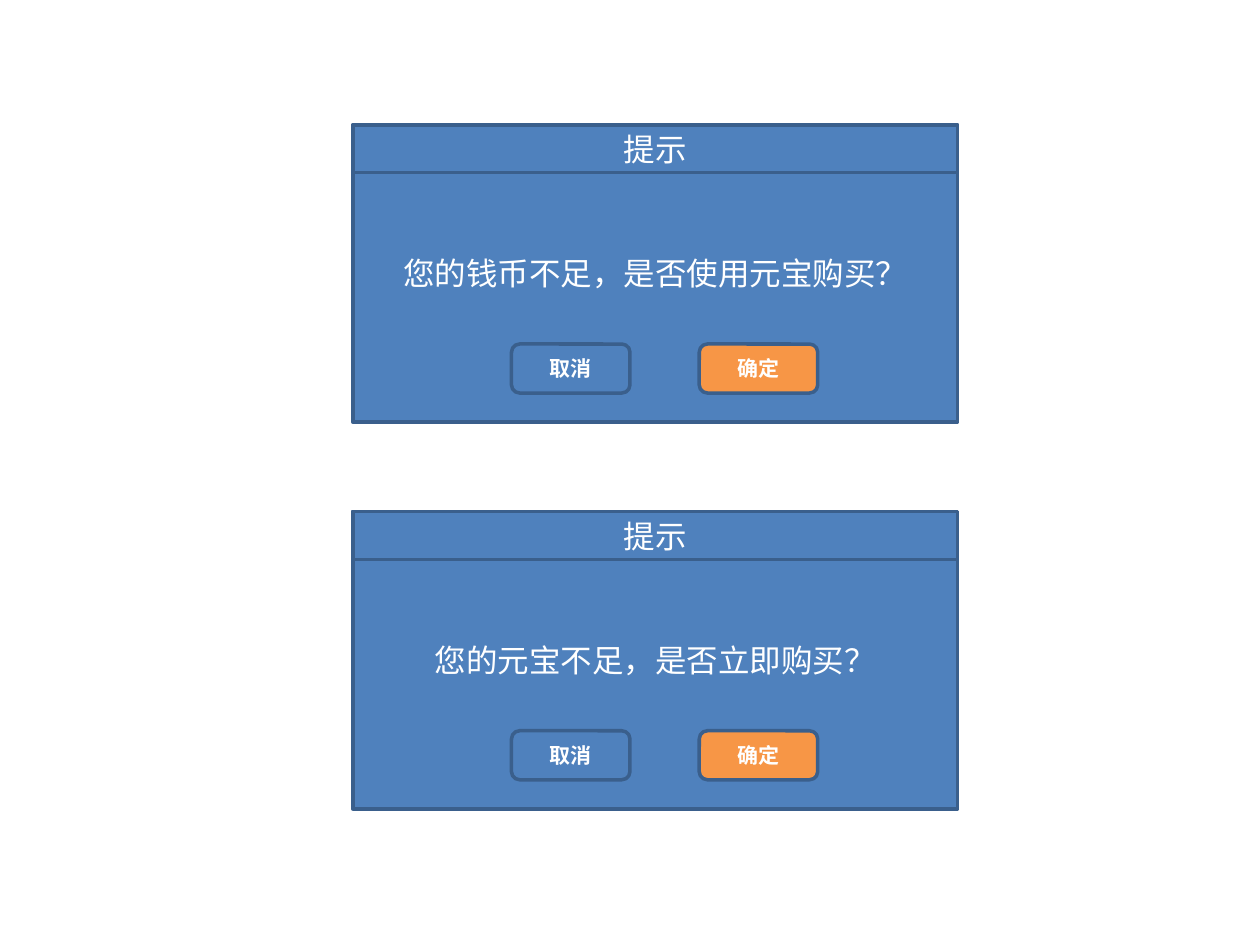
import pptx
import pptx.util
import pptx.dml.color
import pptx.enum.shapes
import pptx.enum.text

Pt = pptx.util.Pt
SHAPES = pptx.enum.shapes.MSO_SHAPE
BLUE, ORANGE, BORDER, WHITE = "4F81BD", "F79646", "3A5F8C", "FFFFFF"


def color(value):
    """Return the RGB colour for a hex string."""
    return pptx.dml.color.RGBColor.from_string(value)


def write(s, text, size=18, bold=False, font="Calibri", fill=WHITE):
    """Write one centred line of text in a shape."""
    tf = s.text_frame
    tf.word_wrap = True
    tf.vertical_anchor = pptx.enum.text.MSO_ANCHOR.MIDDLE
    p = tf.paragraphs[0]
    p.alignment = pptx.enum.text.PP_ALIGN.CENTER
    r = p.add_run()
    r.text = text
    r.font.name = font
    r.font.size = Pt(size)
    r.font.bold = bold
    r.font.color.rgb = color(fill)


def add_box(slide, kind, left, top, width, height, text, fill=BLUE, **style):
    """Add an outlined box with centred text."""
    s = slide.shapes.add_shape(kind, Pt(left), Pt(top), Pt(width), Pt(height))
    s.shadow.inherit = False
    s.fill.solid()
    s.fill.fore_color.rgb = color(fill)
    s.line.color.rgb = color(BORDER)
    s.line.width = Pt(2)
    write(s, text, **style)


def add_dialog(slide, left, top, width, height, message):
    """Add a dialog with a title bar, a message and two buttons."""
    add_box(slide, SHAPES.RECTANGLE, left, top, width, height, message)
    add_box(slide, SHAPES.RECTANGLE, left, top, width, 27.4, "提示")
    buttons = [("确定", 198, ORANGE), ("取消", 90.7, BLUE)]
    for label, offset, fill in buttons:
        add_box(slide, SHAPES.ROUNDED_RECTANGLE, left + offset, top + 125.3,
                67.7, 28, label, fill, size=12, bold=True)


def main():
    """Build the slide with its two dialogs."""
    prs = pptx.Presentation()
    prs.slide_width, prs.slide_height = Pt(720), Pt(540)
    slide = prs.slides.add_slide(prs.slide_layouts[6])
    messages = ["您的钱币不足，是否使用元宝购买？", "您的元宝不足，是否立即购买？"]
    for i, message in enumerate(messages):
        add_dialog(slide, 201.6, 71.3 + i * 221, 345.6, 169.9, message)
    prs.save("out.pptx")


if __name__ == "__main__":
    main()
